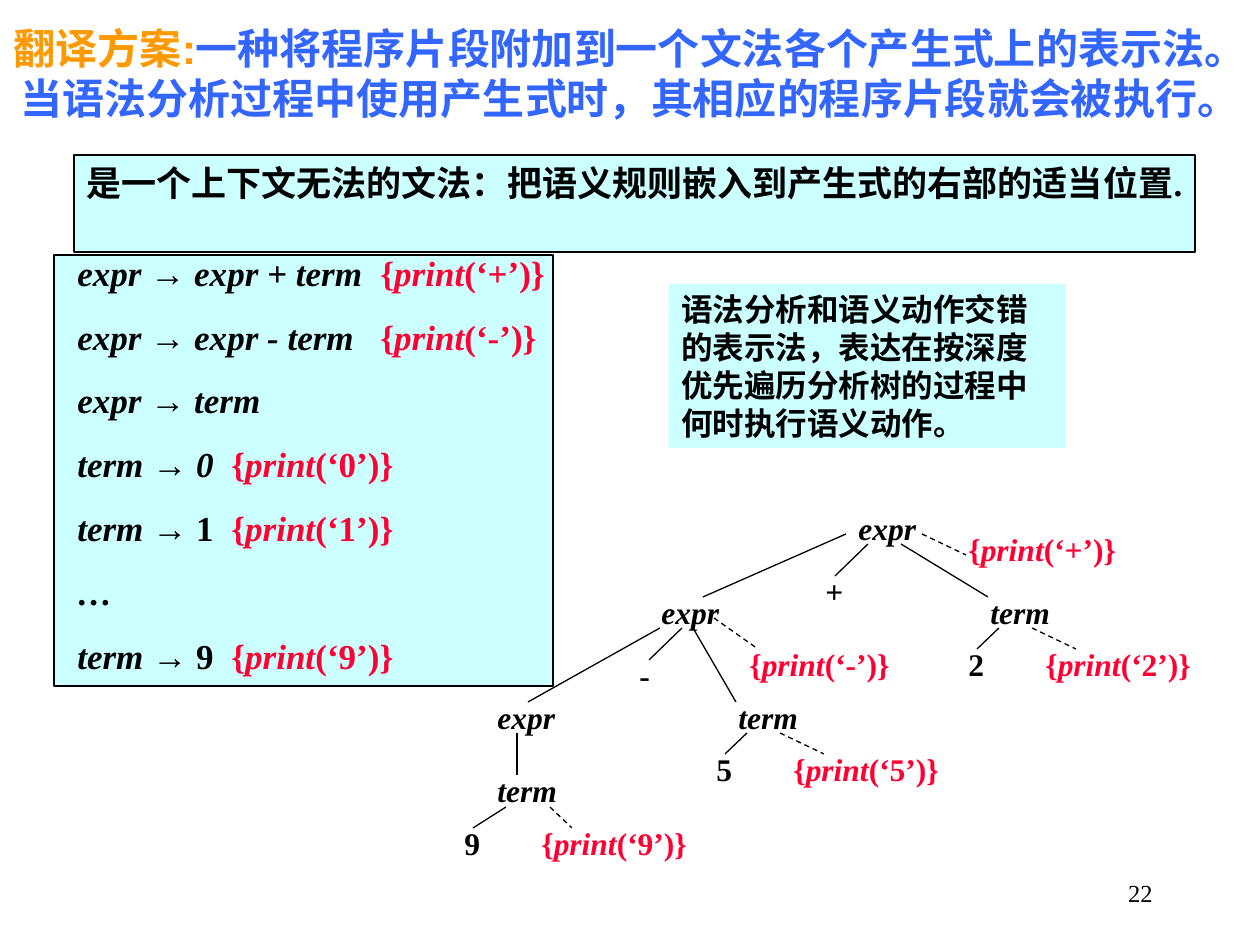
from typing import NamedTuple

from lxml import etree
from pptx import Presentation
from pptx import util as u
from pptx.dml.color import RGBColor
from pptx.enum import dml, shapes, text
from pptx.oxml.ns import qn

BLACK = RGBColor(0x00, 0x00, 0x00)
RED = RGBColor(0xFF, 0x00, 0x33)
ORANGE = RGBColor(0xFF, 0x99, 0x00)
BLUE = RGBColor(0x33, 0x66, 0xFF)
CYAN = RGBColor(0xCC, 0xFF, 0xFF)
SERIF, SANS, CJK = "Times New Roman", "Arial", "Noto Sans CJK SC"


class Production(NamedTuple):
    head: str
    body: str
    italic: bool = True
    arg: str = ""
    tab: int = 154


class Label(NamedTuple):
    x: int
    y: int
    name: str


class Edge(NamedTuple):
    x1: int
    y1: int
    x2: int
    y2: int
    dashed: bool = False


PRODUCTIONS = [
    Production("expr", "expr + term", arg="+", tab=303),
    Production("expr", "expr - term", arg="-", tab=303),
    Production("expr", "term"),
    Production("term", "0", arg="0"),
    Production("term", "1", False, "1"),
    Production("…", ""),
    Production("term", "9", False, "9"),
]
NONTERMINALS = [
    Label(846, 503, "expr"), Label(649, 587, "expr"), Label(978, 587, "term"),
    Label(485, 692, "expr"), Label(726, 692, "term"), Label(485, 765, "term"),
]
TOKENS = [
    Label(813, 566, "+"), Label(627, 650, "-"), Label(956, 639, "2"),
    Label(704, 744, "5"), Label(452, 818, "9"),
]
ACTIONS = [
    Label(956, 524, "+"), Label(737, 639, "-"), Label(1033, 639, "2"),
    Label(781, 744, "5"), Label(529, 818, "9"),
]
EDGES = [
    Edge(846, 534, 703, 597), Edge(868, 544, 835, 576), Edge(901, 544, 988, 597),
    Edge(660, 628, 528, 702), Edge(682, 628, 649, 660), Edge(693, 628, 736, 702),
    Edge(999, 628, 977, 649), Edge(747, 733, 725, 754), Edge(517, 733, 517, 775),
    Edge(506, 807, 473, 828),
    Edge(922, 534, 966, 555, True), Edge(714, 618, 758, 649, True),
    Edge(1032, 628, 1076, 649, True), Edge(780, 733, 824, 754, True),
    Edge(550, 807, 572, 828, True),
]


def px(n: int) -> u.Emu:
    return u.Emu(round(n * 914400 / 126))


def add_text(p, s: str, *, size: int = 18, color: RGBColor = BLACK, bold: bool = True,
             italic: bool = False, face: str = SERIF) -> None:
    p.line_spacing = u.Pt(size * 1.2)
    p._p.get_or_add_pPr().set("hangingPunct", "0")
    r = p.add_run()
    r.text = s
    f = r.font
    f.size, f.bold, f.italic, f.name = u.Pt(size), bold, italic, face
    f.color.rgb = color
    etree.SubElement(r._r.get_or_add_rPr(), qn("a:ea"), typeface=CJK)


def add_action(p, arg: str, size: int = 18) -> None:
    add_text(p, "{", size=size, color=RED)
    add_text(p, "print", size=size, color=RED, italic=True)
    add_text(p, f"(‘{arg}’)}}", size=size, color=RED)


def add_box(sl, x: int, y: int, w: int, h: int):
    sp = sl.shapes.add_textbox(px(x), px(y), px(w), px(h))
    sp.text_frame.word_wrap = True
    return sp.text_frame


def add_panel(sl, x: int, y: int, w: int, h: int, outlined: bool = True):
    sp = sl.shapes.add_shape(shapes.MSO_SHAPE.RECTANGLE, px(x), px(y), px(w), px(h))
    sp.shadow.inherit = False
    sp.fill.solid()
    sp.fill.fore_color.rgb = CYAN
    if outlined:
        sp.line.color.rgb = BLACK
        sp.line.width = u.Pt(0.75)
    else:
        sp.line.fill.background()
    tf = sp.text_frame
    tf.word_wrap = True
    tf.vertical_anchor = text.MSO_ANCHOR.TOP
    tf.paragraphs[0].alignment = text.PP_ALIGN.LEFT
    return tf


def add_production(p, prod: Production) -> None:
    if not prod.body:
        add_text(p, prod.head, size=20, italic=True)
        return
    add_text(p, f"{prod.head} ", size=20, italic=True)
    add_text(p, "→", size=20, face=SANS)
    add_text(p, f" {prod.body}", size=20, italic=prod.italic)
    if prod.arg:
        tabs = etree.SubElement(p._p.get_or_add_pPr(), qn("a:tabLst"))
        etree.SubElement(tabs, qn("a:tab"), pos=str(px(prod.tab)), algn="l")
        add_text(p, "\t", size=20)
        add_action(p, prod.arg, 20)


def add_edge(sl, e: Edge) -> None:
    c = sl.shapes.add_connector(shapes.MSO_CONNECTOR.STRAIGHT,
                                px(e.x1), px(e.y1), px(e.x2), px(e.y2))
    c.line.color.rgb = BLACK
    c.line.width = u.Pt(0.75)
    if e.dashed:
        c.line.dash_style = dml.MSO_LINE.DASH
    etree.SubElement(c._element.spPr, qn("a:effectLst"))


def main() -> None:
    prs = Presentation()
    prs.slide_width, prs.slide_height = px(1260), px(945)
    sl = prs.slides.add_slide(prs.slide_layouts[5])

    sp = sl.shapes.title
    sp.left, sp.top, sp.width, sp.height = px(0), px(0), px(1260), px(145)
    tf = sp.text_frame
    tf.auto_size = text.MSO_AUTO_SIZE.NONE
    tf.vertical_anchor = text.MSO_ANCHOR.MIDDLE
    p = tf.paragraphs[0]
    p.alignment = text.PP_ALIGN.CENTER
    add_text(p, "翻译方案:", size=24, color=ORANGE, face=SANS)
    add_text(p, "一种将程序片段附加到一个文法各个产生式上的表示法。"
             "当语法分析过程中使用产生式时，其相应的程序片段就会被执行。",
             size=24, color=BLUE, face=CJK)

    tf = add_panel(sl, 74, 155, 1121, 97)
    add_text(tf.paragraphs[0], "是一个上下文无法的文法：把语义规则嵌入到产生式的右部的适当位置.",
             size=20)

    add_panel(sl, 54, 255, 499, 431)
    tf = add_box(sl, 65, 245, 756, 438)
    for i, prod in enumerate(PRODUCTIONS):
        p = tf.add_paragraph() if i else tf.paragraphs[0]
        if i:
            p.space_before = u.Pt(12.5)
        add_production(p, prod)

    for n in NONTERMINALS:
        add_text(add_box(sl, n.x, n.y, 142, 50).paragraphs[0], n.name, italic=True)
    for n in TOKENS:
        add_text(add_box(sl, n.x, n.y, 66, 50).paragraphs[0], n.name)
    for n in ACTIONS:
        add_action(add_box(sl, n.x, n.y, 175, 50).paragraphs[0], n.name)
    for e in EDGES:
        add_edge(sl, e)

    tf = add_panel(sl, 669, 284, 397, 164, outlined=False)
    add_text(tf.paragraphs[0], "语法分析和语义动作交错的表示法，表达在按深度优先遍历"
             "分析树的过程中何时执行语义动作。")

    tf = add_box(sl, 903, 861, 262, 63)
    tf.vertical_anchor = text.MSO_ANCHOR.MIDDLE
    p = tf.paragraphs[0]
    p.alignment = text.PP_ALIGN.RIGHT
    add_text(p, "22", size=14, bold=False)

    prs.save("out.pptx")


if __name__ == "__main__":
    main()
